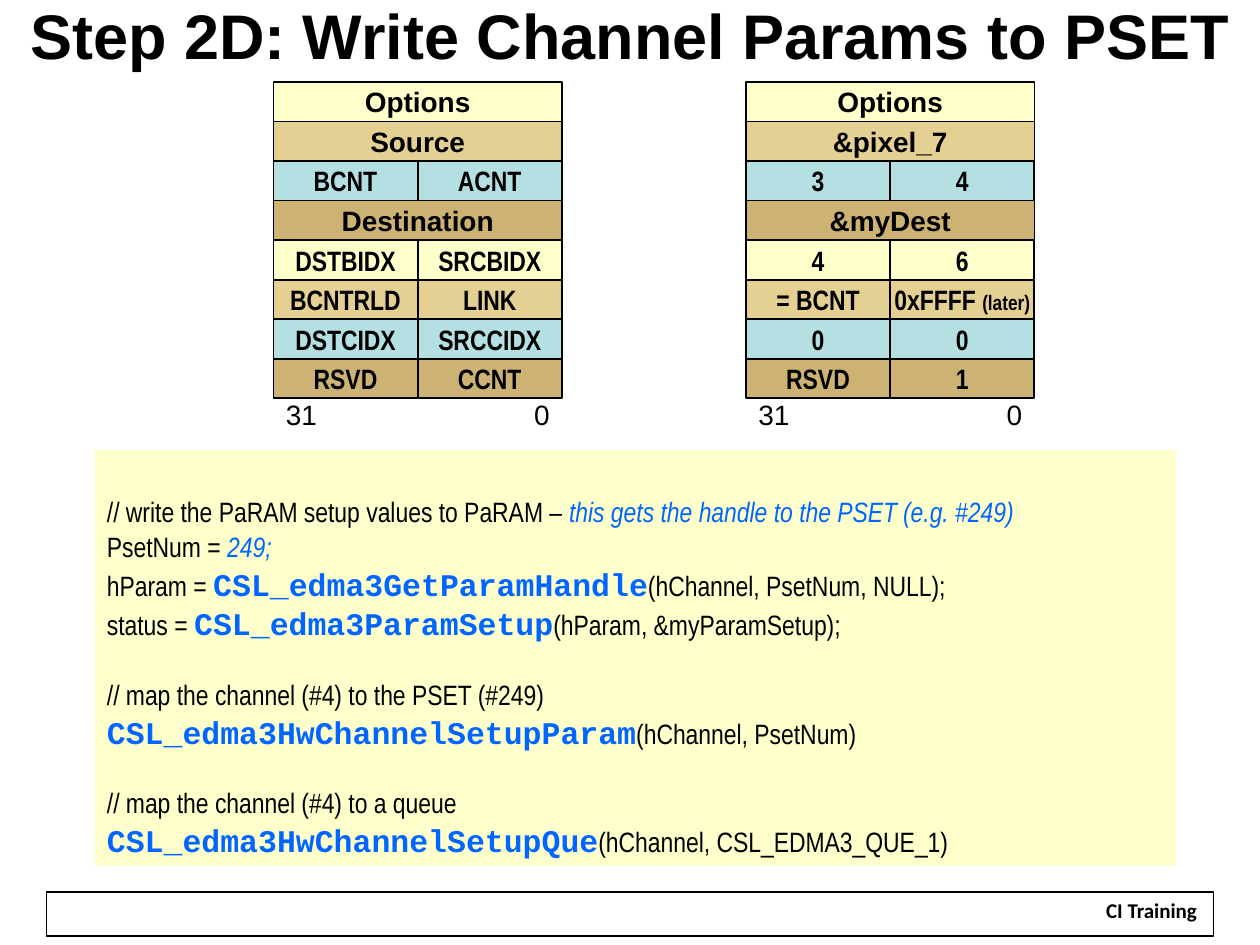
"""Build the slide on writing channel parameters to a PSET."""
from lxml import etree
from pptx import Presentation
from pptx.dml.color import RGBColor
from pptx.enum import shapes, text
from pptx.oxml.ns import qn
from pptx.util import Inches, Pt

THEME = {
    "cream": "FFFFCC", "sand": "E5D093", "tan": "CCB374", "aqua": "B5E0E3",
    "white": "FFFFFF", "ink": "000000",
    "title": {"name": "Arial", "size": Pt(36), "bold": True, "color": "000000"},
    "wide": {"name": "Arial", "size": Pt(16), "bold": True, "color": "000000"},
    "half": {"name": "Arial Narrow", "size": Pt(16), "bold": True, "color": "000000"},
    "later": {"name": "Arial Narrow", "size": Pt(12), "bold": True, "color": "000000"},
    "bits": {"name": "Arial", "size": Pt(16), "bold": False, "color": "000000"},
    "code": {"name": "Arial Narrow", "size": Pt(16), "bold": False, "color": "000000"},
    "hint": {"name": "Arial Narrow", "size": Pt(16), "italic": True, "color": "0066FF"},
    "call": {"name": "Courier New", "size": Pt(18), "bold": True, "color": "0066FF"},
    "footer": {"name": "Calibri", "size": Pt(12), "bold": True, "color": "000000"},
}

deck = Presentation()
deck.slide_width, deck.slide_height = Inches(10), Inches(7.5)
slide = deck.slides.add_slide(deck.slide_layouts[6])
UNIT = deck.slide_width / 100


def add_box(parent, area, fill=None, line=None, **frame):
    """Add a rectangle placed in grid units and return its text frame."""
    rect = parent.add_shape(shapes.MSO_SHAPE.RECTANGLE, *(round(n * UNIT) for n in area))
    rect.shadow.inherit = False
    if fill:
        rect.fill.solid()
        rect.fill.fore_color.rgb = RGBColor.from_string(THEME[fill])
    else:
        rect.fill.background()
    if line:
        rect.line.color.rgb = RGBColor.from_string(THEME["ink"])
        rect.line.width = Pt(line)
    else:
        rect.line.fill.background()
    settings = {"word_wrap": False, "vertical_anchor": text.MSO_ANCHOR.MIDDLE, **frame}
    for key, value in settings.items():
        setattr(rect.text_frame, key, value)
    return rect.text_frame


def write(paragraph, runs, align=text.PP_ALIGN.CENTER, **spacing):
    """Fill a paragraph with (text, style) runs."""
    for key, value in {"alignment": align, **spacing}.items():
        setattr(paragraph, key, value)
    for words, style in runs:
        run = paragraph.add_run()
        run.text = words
        for key, value in THEME[style].items():
            if key == "color":
                run.font.color.rgb = RGBColor.from_string(value)
            else:
                setattr(run.font, key, value)


add_box(slide.shapes, (3.7, 70.8, 92.6, 3.5), line=0.75)
footer = add_box(slide.shapes, (86.7, 71.1, 9.4, 3), "white", vertical_anchor=text.MSO_ANCHOR.TOP)
write(footer.paragraphs[0], [("CI Training", "footer")], line_spacing=0.8)

title = add_box(slide.shapes, (0, 0.6, 100, 6.7), word_wrap=True,
                vertical_anchor=text.MSO_ANCHOR.TOP,
                margin_left=Inches(0.05), margin_right=Inches(0.05))
write(title.paragraphs[0], [("Step 2D: Write Channel Params to PSET", "title")], line_spacing=0.75)

code_lines = [
    (0, [("// write the PaRAM setup values to PaRAM – ", "code"),
         ("this gets the handle to the PSET (e.g. #249)", "hint")]),
    (8.5, [("PsetNum =", "code"), (" 249;", "hint")]),
    (9.5, [("hParam = ", "code"), ("CSL_edma3GetParamHandle", "call"),
           ("(hChannel, PsetNum, NULL);", "code")]),
    (9.5, [("status = ", "code"), ("CSL_edma3ParamSetup", "call"),
           ("(hParam, &myParamSetup);", "code")]),
    (28, [("// map the channel (#4) to the PSET (#249)", "code")]),
    (9.5, [("CSL_edma3HwChannelSetupParam", "call"), ("(hChannel, PsetNum)", "code")]),
    (28, [("// map the channel (#4) to a queue", "code")]),
    (9.5, [("CSL_edma3HwChannelSetupQue", "call"), ("(hChannel, CSL_EDMA3_QUE_1)", "code")]),
]
listing = add_box(slide.shapes, (7.5, 35.7, 85.8, 33), "cream", word_wrap=True,
                  vertical_anchor=text.MSO_ANCHOR.TOP, margin_top=Inches(0.45))
for index, (gap, runs) in enumerate(code_lines):
    paragraph = listing.add_paragraph() if index else listing.paragraphs[0]
    write(paragraph, runs, text.PP_ALIGN.LEFT, line_spacing=0.6, space_before=Pt(gap))

ROW, HALF, TOP = 3.14, 11.45, 6.5
row_fills = ["cream", "sand", "aqua", "tan"] * 2
registers = {
    21.7: [["Options"], ["Source"], ["BCNT", "ACNT"], ["Destination"], ["DSTBIDX", "SRCBIDX"],
           ["BCNTRLD", "LINK"], ["DSTCIDX", "SRCCIDX"], ["RSVD", "CCNT"]],
    59.2: [["Options"], ["&pixel_7"], ["3", "4"], ["&myDest"], ["4", "6"],
           ["= BCNT", "0xFFFF (later)"], ["0", "0"], ["RSVD", "1"]],
}
for left, rows in registers.items():
    register = slide.shapes.add_group_shape().shapes
    for row, (fields, fill) in enumerate(zip(rows, row_fills)):
        width = 2 * HALF / len(fields)
        style = "wide" if len(fields) == 1 else "half"
        for column, field in enumerate(fields):
            cell = add_box(register, (left + column * width, TOP + row * ROW, width, ROW), fill, 1)
            value, mark, _ = field.partition("(later)")
            runs = [(value, style)] + ([(mark, "later")] if mark else [])
            write(cell.paragraphs[0], runs)
    bits = add_box(register, (left, TOP + 8 * ROW - 0.1, 2 * HALF, 3.2), word_wrap=True, margin_top=0)
    properties = bits.paragraphs[0]._p.get_or_add_pPr()
    stops = etree.SubElement(properties, qn("a:tabLst"))
    etree.SubElement(stops, qn("a:tab"), pos=str(Inches(2.12)), algn="r")
    write(bits.paragraphs[0], [("31\t0", "bits")], text.PP_ALIGN.LEFT)

deck.save("out.pptx")
